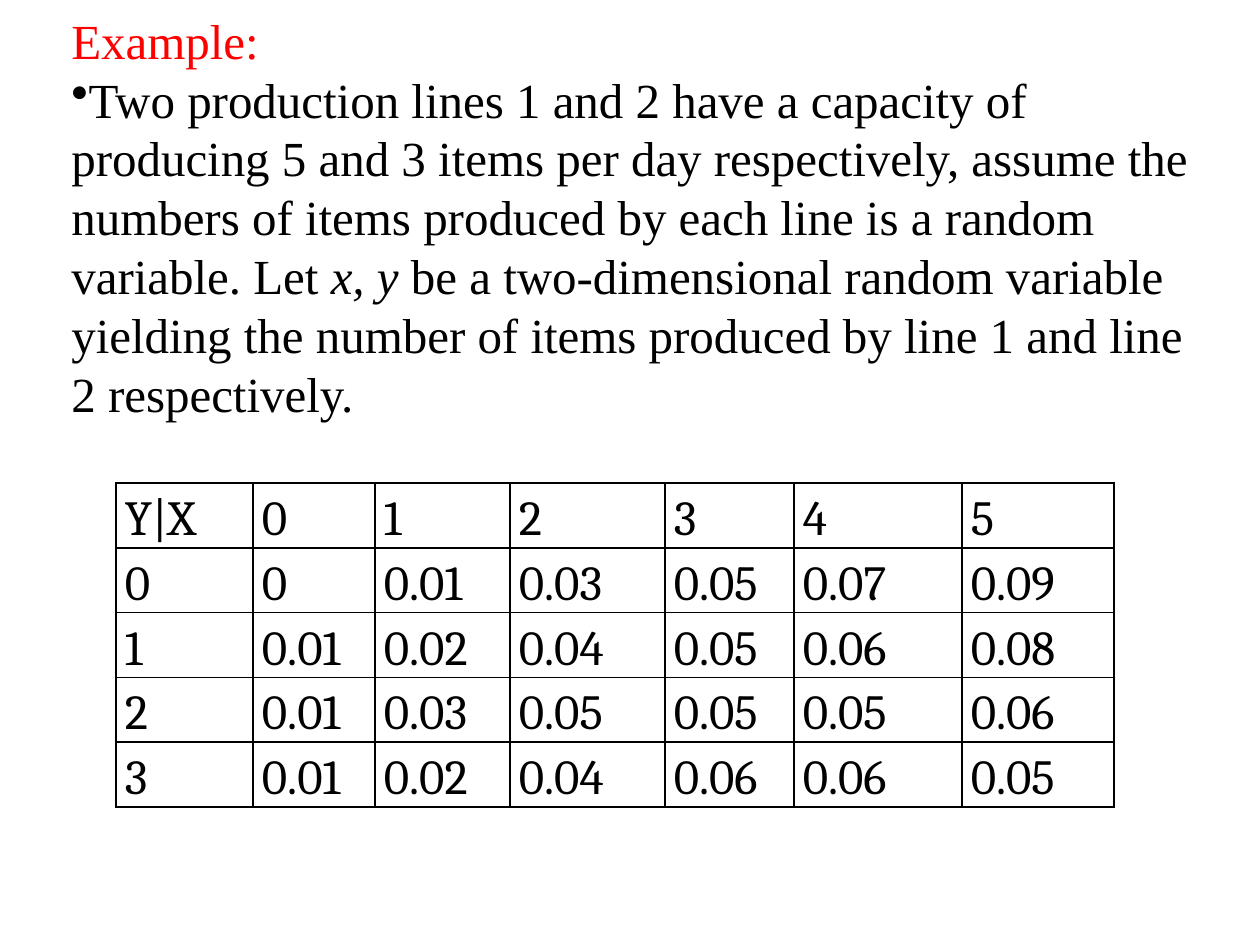
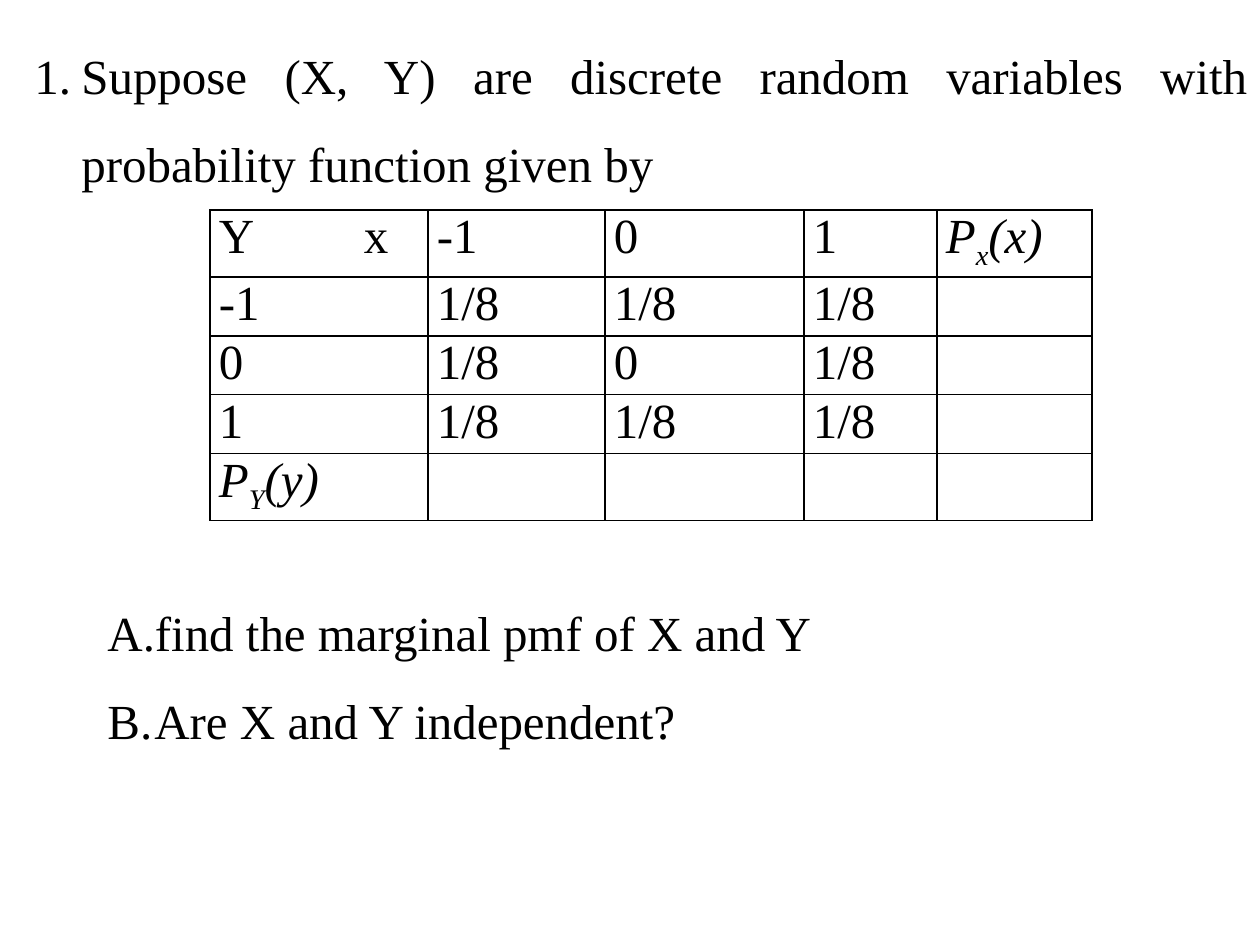
import pptx
import pptx.util
import pptx.dml.color
import pptx.enum.text
import pptx.oxml
import pptx.oxml.ns

# Shared look
PX = 914400 / 126
BLACK = pptx.dml.color.RGBColor(0, 0, 0)
RED = pptx.dml.color.RGBColor(255, 0, 0)
SERIF = "Times New Roman"
TABLE_SERIF = "Cambria"
SIZE = pptx.util.Pt(28)
JUSTIFY = pptx.enum.text.PP_ALIGN.JUSTIFY
LEFT = pptx.enum.text.PP_ALIGN.LEFT
HANGING = 47
NUMBERED = '<a:buAutoNum {ns} type="arabicPeriod"/>'
LETTERED = '<a:buAutoNum {ns} type="alphaUcPeriod"/>'
BULLETED = '<a:buChar {ns} char="•"/>'
BORDER = ('<a:{side} {ns} w="12700"><a:solidFill><a:srgbClr val="000000"/>'
          '</a:solidFill></a:{side}>')
TAB_STOP = '<a:tabLst {ns}><a:tab pos="{position}" algn="l"/></a:tabLst>'

# Content: a text is a string or a list of (words, style) spans
EXAMPLE_TITLE = "Example:"
EXAMPLE = [
    ("Two production lines 1 and 2 have a capacity of producing 5 and 3 items "
     "per day respectively, assume the numbers of items produced by each line "
     "is a random variable. Let ", ""),
    ("x, y", "italic"),
    (" be a two-dimensional random variable yielding the number of items "
     "produced by line 1 and line 2 respectively.", ""),
]
PRODUCTION = [
    ["Y|X", "0", "1", "2", "3", "4", "5"],
    ["0", "0", "0.01", "0.03", "0.05", "0.07", "0.09"],
    ["1", "0.01", "0.02", "0.04", "0.05", "0.06", "0.08"],
    ["2", "0.01", "0.03", "0.05", "0.05", "0.05", "0.06"],
    ["3", "0.01", "0.02", "0.04", "0.06", "0.06", "0.05"],
]
PRODUCTION_COLUMNS = [137, 122, 135, 155, 129, 168, 152]

PROBLEM = "Suppose (X, Y) are discrete random variables with probability function given by"
MARGINAL_X = [("P", "italic"), ("x", "subscript"), ("(x)", "italic")]
MARGINAL_Y = [("P", "italic"), ("Y", "subscript"), ("(y)", "italic")]
PROBABILITIES = [
    ["Y\tx", "-1", "0", "1", MARGINAL_X],
    ["-1", "1/8", "1/8", "1/8", ""],
    ["0", "1/8", "0", "1/8", ""],
    ["1", "1/8", "1/8", "1/8", ""],
    [MARGINAL_Y, "", "", "", ""],
]
PROBABILITY_COLUMNS = [218, 177, 199, 133, 155]
HEADER_TAB = 145
QUESTIONS = ["find the marginal pmf of X and Y", "Are X and Y independent?"]


def px(length):
    return pptx.util.Emu(round(length * PX))


def element(template, **values):
    return pptx.oxml.parse_xml(
        template.format(ns=pptx.oxml.ns.nsdecls("a"), **values))


def write(para, text, font=SERIF, color=BLACK, align=LEFT, spacing=None,
          bullet=None, hanging=0):
    properties = para._p.get_or_add_pPr()
    if bullet:
        properties.append(element(bullet))
    if hanging:
        properties.set("marL", str(px(hanging)))
        properties.set("indent", str(-px(hanging)))
    if "\t" in text:
        properties.append(element(TAB_STOP, position=px(HEADER_TAB)))
    para.alignment = align
    if spacing:
        para.line_spacing = spacing
    para.font.name = font
    para.font.size = SIZE
    para.font.color.rgb = color
    for words, style in [(text, "")] if isinstance(text, str) else text:
        span = para.add_run()
        span.text = words
        if style:
            span.font.italic = True
        if style == "subscript":
            span._r.get_or_add_rPr().set("baseline", "-25000")


def add_text(page, place, paragraphs):
    """Each paragraph is a (text, format options) pair."""
    frame = page.shapes.add_textbox(*map(px, place)).text_frame
    frame.word_wrap = True
    for index, (text, options) in enumerate(paragraphs):
        para = frame.add_paragraph() if index else frame.paragraphs[0]
        write(para, text, **options)


def add_grid(page, left, top, height, row_height, columns, rows, **options):
    frame = page.shapes.add_table(len(rows), len(columns), px(left), px(top),
                                  px(sum(columns)), px(height))
    table = frame.table
    table.first_row = table.horz_banding = False
    for column, width in zip(table.columns, columns):
        column.width = px(width)
    for row, texts in zip(table.rows, rows):
        row.height = px(row_height)
        for cell, text in zip(row.cells, texts):
            cell.fill.background()
            for index, side in enumerate(("lnL", "lnR", "lnT", "lnB")):
                cell._tc.get_or_add_tcPr().insert(index, element(BORDER, side=side))
            cell.margin_left = cell.margin_right = px(9)
            cell.margin_top = cell.margin_bottom = 0
            if text:
                write(cell.text_frame.paragraphs[0], text, align=JUSTIFY, **options)
    frame.height = px(height)


def main():
    deck = pptx.Presentation()
    deck.slide_width, deck.slide_height = px(1260), px(945)
    blank = deck.slide_layouts[6]

    # Production lines example
    page = deck.slides.add_slide(blank)
    add_grid(page, 116, 483, 338, 60, PRODUCTION_COLUMNS, PRODUCTION,
             font=TABLE_SERIF, spacing=1.15)
    add_text(page, (59, 4, 1166, 488), [(EXAMPLE_TITLE, dict(color=RED)),
                                        (EXAMPLE, dict(bullet=BULLETED))])

    # Discrete variables exercise
    page = deck.slides.add_slide(blank)
    listed = dict(align=JUSTIFY, spacing=1.5, hanging=HANGING)
    add_text(page, (22, 10, 1238, 180), [(PROBLEM, dict(listed, bullet=NUMBERED))])
    add_grid(page, 210, 210, 294, 58, PROBABILITY_COLUMNS, PROBABILITIES)
    add_text(page, (95, 567, 848, 180),
             [(question, dict(listed, bullet=LETTERED)) for question in QUESTIONS])

    deck.save("out.pptx")


if __name__ == "__main__":
    main()
